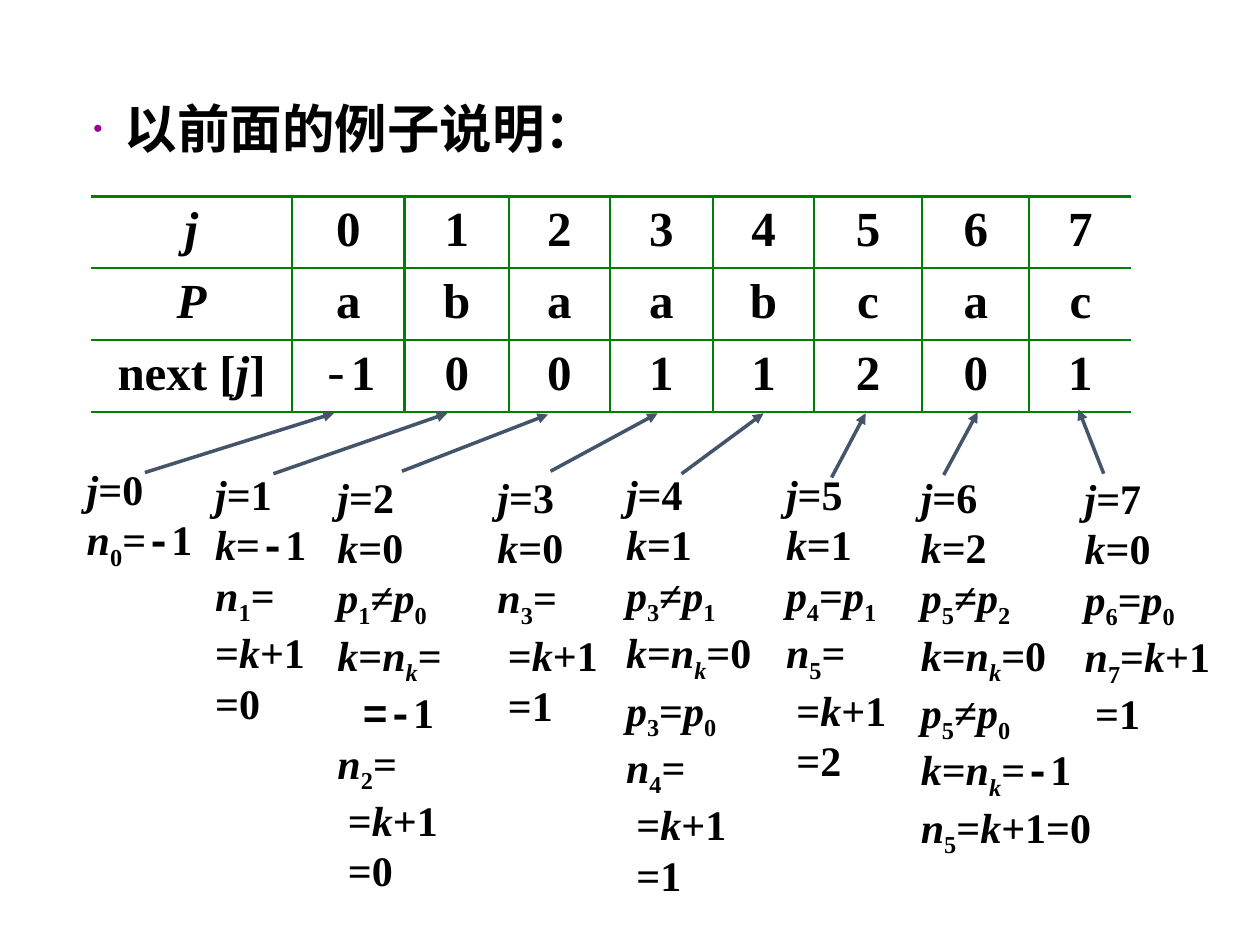
import itertools
import pptx
import pptx.util
import pptx.dml.color
import pptx.enum.text
import pptx.enum.shapes
import pptx.oxml
import pptx.oxml.ns

Inch, Pt = pptx.util.Inches, pptx.util.Pt
Align, Anchor = pptx.enum.text.PP_ALIGN, pptx.enum.text.MSO_ANCHOR
BLACK, GREEN, SLATE, PURPLE = "000000", "008000", "44546A", "990099"
SERIF, MONO = "Times New Roman", "Courier New"

# Content: `x` is monospaced, _x is a subscript
HEAD = "以前面的例子说明："
ROWS = [
    ["j", "0", "1", "2", "3", "4", "5", "6", "7"],
    ["P", "a", "b", "a", "a", "b", "c", "a", "c"],
    ["next [j]", "`-`1", "0", "0", "1", "1", "2", "0", "1"],
]
COLS = [1.6, 0.89, 0.83, 0.8, 0.82, 0.8, 0.86, 0.85, 0.81]

# Steps for each j: left, top, width, lines, arrow start, arrow tip
STEPS = [
    (0.59, 3.63, 1.06, ["j=0", "n_0=`-`1"], (1.15, 3.75), (2.65, 3.28)),
    (1.61, 3.67, 0.93, ["j=1", "k=`-`1", "n_1=", "=k+1", "=0"],
     (2.17, 3.76), (3.55, 3.28)),
    (2.58, 3.69, 1.05, ["j=2", "k=0", "p_1≠p_0", "k=n_k=", "` =-`1",
                        "n_2=", " =k+1", " =0"], (3.19, 3.74), (4.35, 3.29)),
    (3.85, 3.69, 1.0, ["j=3", "k=0", "n_3=", " =k+1", " =1"],
     (4.37, 3.74), (5.22, 3.28)),
    (4.87, 3.67, 1.22, ["j=4", "k=1", "p_3≠p_1", "k=n_k=0", "p_3=p_0",
                        "n_4=", " =k+1", " =1"], (5.41, 3.76), (6.06, 3.28)),
    (6.14, 3.67, 1.0, ["j=5", "k=1", "p_4=p_1", "n_5=", " =k+1", " =2"],
     (6.6, 3.79), (6.87, 3.28)),
    (7.21, 3.69, 1.58, ["j=6", "k=2", "p_5≠p_2", "k=n_k=0", "p_5≠p_0",
                        "k=n_k=`-`1", "n_5=k+1=0"],
     (7.49, 3.77), (7.76, 3.27)),
    (8.51, 3.7, 1.22, ["j=7", "k=0", "p_6=p_0", "n_7=k+1", " =1"],
     (8.76, 3.76), (8.56, 3.25)),
]


def color(code):
    return pptx.dml.color.RGBColor.from_string(code)


def xml(text):
    space = pptx.oxml.ns.nsdecls("a")
    return pptx.oxml.parse_xml(text.replace(">", f" {space}>", 1)
                               if "/>" not in text.split(">")[0] + ">"
                               else text.replace("/>", f" {space}/>", 1))


def pieces(text, slant):
    """Yield (text, (italic, subscript, mono)) for each run."""
    marks, mono, sub = [], False, False
    for char in text:
        if char == "`":
            mono = not mono
        elif char == "_":
            sub = True
        else:
            marks.append((char, (char in slant, sub, mono)))
            sub = False
    for style, group in itertools.groupby(marks, key=lambda mark: mark[1]):
        yield "".join(char for char, _ in group), style


def write(frame, lines, size=24, font=SERIF, slant="", align=Align.LEFT,
          hang=0, mono_bold=True):
    for row, line in enumerate(lines):
        para = frame.add_paragraph() if row else frame.paragraphs[0]
        para.alignment = align
        if hang:
            props = para._p.get_or_add_pPr()
            props.set("marL", str(Inch(hang)))
            props.set("indent", str(-Inch(hang)))
        for text, (italic, sub, mono) in pieces(line, slant):
            run = para.add_run()
            run.text = text
            run.font.size = Pt(size)
            run.font.name = MONO if mono else font
            run.font.bold = mono_bold or not mono
            run.font.italic = italic
            run.font.color.rgb = color(BLACK)
            if sub:
                run._r.get_or_add_rPr().set("baseline", "-25000")


def border(cell, side, shown):
    paint = (f'<a:solidFill><a:srgbClr val="{GREEN}"/></a:solidFill>'
             if shown else "<a:noFill/>")
    line = xml(f'<a:ln{side} w="{Pt(1.5)}">{paint}</a:ln{side}>')
    cell._tc.get_or_add_tcPr().append(line)


def add_head(slide):
    head = slide.shapes.title
    head.left, head.top, head.width, head.height = map(
        Inch, (0.64, 0.77, 8.67, 0.74))
    frame = head.text_frame
    frame.vertical_anchor = Anchor.TOP
    frame.auto_size = pptx.enum.text.MSO_AUTO_SIZE.NONE
    write(frame, [HEAD], size=30, font="Calibri", hang=0.25)
    para = frame.paragraphs[0]
    para.line_spacing, para.space_before = 0.9, Pt(10)
    for part in (f'<a:buClr><a:srgbClr val="{PURPLE}"/></a:buClr>',
                 '<a:buSzPct val="50000"/>', '<a:buFont typeface="Arial"/>',
                 '<a:buChar char="•"/>'):
        para._p.get_or_add_pPr().append(xml(part))


def add_grid(slide):
    grid = slide.shapes.add_table(
        len(ROWS), len(COLS), Inch(0.72), Inch(1.56),
        Inch(sum(COLS)), Inch(0.57 * len(ROWS))).table
    grid.first_row = grid.horz_banding = False
    for col, width in zip(grid.columns, COLS):
        col.width = Inch(width)
    for r, texts in enumerate(ROWS):
        grid.rows[r].height = Inch(0.57)
        for c, text in enumerate(texts):
            cell = grid.cell(r, c)
            write(cell.text_frame, [text], size=28, slant="jP",
                  align=Align.CENTER, hang=0.38, mono_bold=False)
            # Ruled everywhere except the outer left and right edges
            for side, shown in (("L", c > 0), ("R", c < len(COLS) - 1),
                                ("T", True), ("B", True)):
                border(cell, side, shown)
            cell.fill.background()


def add_note(slide, left, top, width, lines):
    box = slide.shapes.add_textbox(Inch(left), Inch(top), Inch(width),
                                   Inch(0.1 + 0.4 * len(lines)))
    box.text_frame.word_wrap = False
    box.text_frame.auto_size = pptx.enum.text.MSO_AUTO_SIZE.SHAPE_TO_FIT_TEXT
    write(box.text_frame, lines, slant="jknp")


def add_arrow(slide, start, tip):
    line = slide.shapes.add_connector(
        pptx.enum.shapes.MSO_CONNECTOR.STRAIGHT, *map(Inch, start + tip))
    line.line.color.rgb = color(SLATE)
    line.line.width = Pt(2)
    line.line._get_or_add_ln().append(xml('<a:tailEnd type="triangle"/>'))
    line._element.spPr.append(xml("<a:effectLst/>"))


def main():
    deck = pptx.Presentation()
    deck.slide_width, deck.slide_height = Inch(10), Inch(7.5)
    slide = deck.slides.add_slide(deck.slide_layouts[5])
    add_head(slide)
    add_grid(slide)
    for left, top, width, lines, _, _ in STEPS:
        add_note(slide, left, top, width, lines)
    for *_, start, tip in STEPS:
        add_arrow(slide, start, tip)
    deck.save("out.pptx")


if __name__ == "__main__":
    main()
